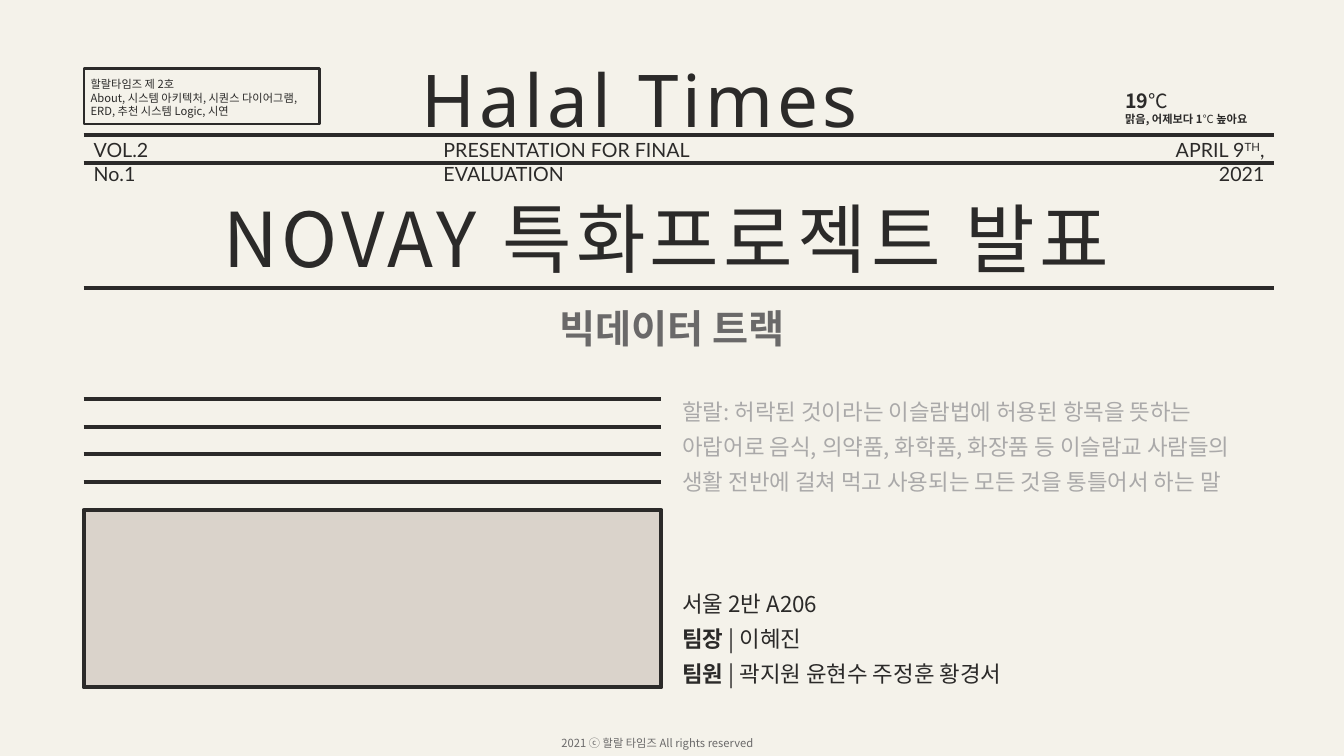
from lxml import etree
from pptx import Presentation
from pptx.dml.color import RGBColor
from pptx.enum.shapes import MSO_CONNECTOR, MSO_SHAPE
from pptx.enum.text import MSO_ANCHOR, MSO_AUTO_SIZE, PP_ALIGN
from pptx.oxml.ns import qn
from pptx.util import Inches, Pt

LEFT, CENTER = PP_ALIGN.LEFT, PP_ALIGN.CENTER
RIGHT, JUSTIFY = PP_ALIGN.RIGHT, PP_ALIGN.JUSTIFY
STRAIGHT, RECTANGLE = MSO_CONNECTOR.STRAIGHT, MSO_SHAPE.RECTANGLE
TOP, NO_FIT = MSO_ANCHOR.TOP, MSO_AUTO_SIZE.NONE

PAPER, INK, PANEL = "F4F2EA", "2B2A29", "DAD3CB"
GRAY, PALE = "6A6969", "AAA9A9"
KOREAN, LATIN, MASTHEAD = "Noto Sans CJK KR", "Lato", "Noto Sans"

MARGIN, RIGHT_EDGE = 0.83, 12.64
COLUMN = 5.73
TEXT_COLUMN = 6.67


def color(value):
    return RGBColor.from_string(value)


def write(box, paragraphs, size, font, ink=INK, align=LEFT, spacing=None, tracking=0):
    """Fill a box; each paragraph is a list of (text, style), style "b" bold or "^" raised."""
    frame = box.text_frame
    frame.word_wrap = True
    frame.auto_size = NO_FIT
    frame.vertical_anchor = TOP
    for index, pieces in enumerate(paragraphs):
        para = frame.paragraphs[0] if index == 0 else frame.add_paragraph()
        para.alignment = align
        para.line_spacing = spacing
        for text, style, *own_size in pieces:
            span = para.add_run()
            span.text = text
            span.font.size = Pt(own_size[0] if own_size else size)
            span.font.name = font
            span.font.bold = style == "b"
            span.font.color.rgb = color(ink)
            properties = span.font._element
            etree.SubElement(properties, qn("a:ea")).set("typeface", font)
            if tracking:
                properties.set("spc", str(tracking * 100))
            if style == "^":
                properties.set("baseline", "30000")


deck = Presentation()
deck.slide_width, deck.slide_height = Inches(13.33), Inches(7.5)
page = deck.slides.add_slide(deck.slide_layouts[5])
page.background.fill.solid()
page.background.fill.fore_color.rgb = color(PAPER)

# Headline
title = page.shapes.title
title.left, title.top = Inches(1.63), Inches(1.85)
title.width, title.height = Inches(9.96), Inches(1.01)
write(title, [[("NOVAY 특화프로젝트 발표", "")]], 54, KOREAN, align=CENTER, tracking=3)

# Frames: contents box and picture panel
for top, width, height, fill, weight in [
    (0.68, 2.34, 0.55, None, 1.5),
    (5.06, COLUMN, 1.76, PANEL, 3),
]:
    frame_box = page.shapes.add_shape(
        RECTANGLE, Inches(MARGIN), Inches(top), Inches(width), Inches(height))
    frame_box.shadow.inherit = False
    frame_box.line.color.rgb = color(INK)
    frame_box.line.width = Pt(weight)
    if fill:
        frame_box.fill.solid()
        frame_box.fill.fore_color.rgb = color(fill)
    else:
        frame_box.fill.background()

# Full-width rules, then four evenly spaced column rules
rules = [(y, RIGHT_EDGE) for y in (1.34, 1.62, 2.86)]
rules += [(3.96 + 0.82 * step / 3, MARGIN + COLUMN) for step in range(4)]
for y, end in rules:
    rule = page.shapes.add_connector(
        STRAIGHT, Inches(MARGIN), Inches(y), Inches(end), Inches(y))
    rule.line.color.rgb = color(INK)
    rule.line.width = Pt(2.75)
    etree.SubElement(rule._element.spPr, qn("a:effectLst"))

definition = ("할랄: 허락된 것이라는 이슬람법에 허용된 항목을 뜻하는 아랍어로 음식, 의약품, 화학품, "
              "화장품 등 이슬람교 사람들의 생활 전반에 걸쳐 먹고 사용되는 모든 것을 통틀어서 하는 말")
contents = ["할랄타임즈 제 2호", "About, 시스템 아키텍처, 시퀀스 다이어그램,",
            "ERD, 추천 시스템 Logic, 시연"]
team = [
    [("서울 2반 A206", "")],
    [("팀장 ", "b"), ("| 이혜진", "")],
    [("팀원 ", "b"), ("| 곽지원 윤현수 주정훈 황경서", "")],
]
weather = [
    [("19", "b", 14), ("℃", "", 14)],
    [("맑음, 어제보다 1", "b"), ("℃ ", ""), ("높아요", "b")],
]

# Place (left, top, width, height), paragraphs, size, font and further formatting
texts = [
    ((4.08, 0.49, 5.18, 1.01), [[("Halal Times", "")]], 52, MASTHEAD, {"tracking": 3}),
    ((0.8, 0.72, 2.44, 0.5), [[(line, "")] for line in contents], 8, KOREAN,
     {"align": JUSTIFY}),
    ((11.06, 0.83, 1.58, 0.49), weather, 8, KOREAN, {}),
    ((MARGIN, 1.32, 0.98, 0.34), [[("VOL.2 No.1", "")]], 14, LATIN, {}),
    ((4.3, 1.32, 3.15, 0.34), [[("PRESENTATION FOR FINAL EVALUATION", "")]], 14, LATIN, {}),
    ((11.29, 1.32, 1.35, 0.34), [[("APRIL 9", ""), ("TH", "^"), (", 2021", "")]], 14, LATIN,
     {"align": RIGHT}),
    ((3.33, 2.97, 6.67, 0.57), [[("빅데이터 트랙", "b")]], 28, KOREAN,
     {"ink": GRAY, "align": CENTER}),
    ((TEXT_COLUMN, 3.82, 5.98, 1.13), [[(definition, "")]], 16, KOREAN,
     {"ink": PALE, "spacing": 1.3}),
    ((TEXT_COLUMN, 5.73, COLUMN, 1.13), team, 16, KOREAN, {"spacing": 1.3}),
    ((5.47, 7.26, 2.38, 0.24), [[("2021 ⓒ 할랄 타임즈 All rights reserved", "")]], 8, KOREAN,
     {"ink": GRAY}),
]
for place, paragraphs, size, font, extras in texts:
    box = page.shapes.add_textbox(*(Inches(length) for length in place))
    write(box, paragraphs, size, font, **extras)

deck.save("out.pptx")
